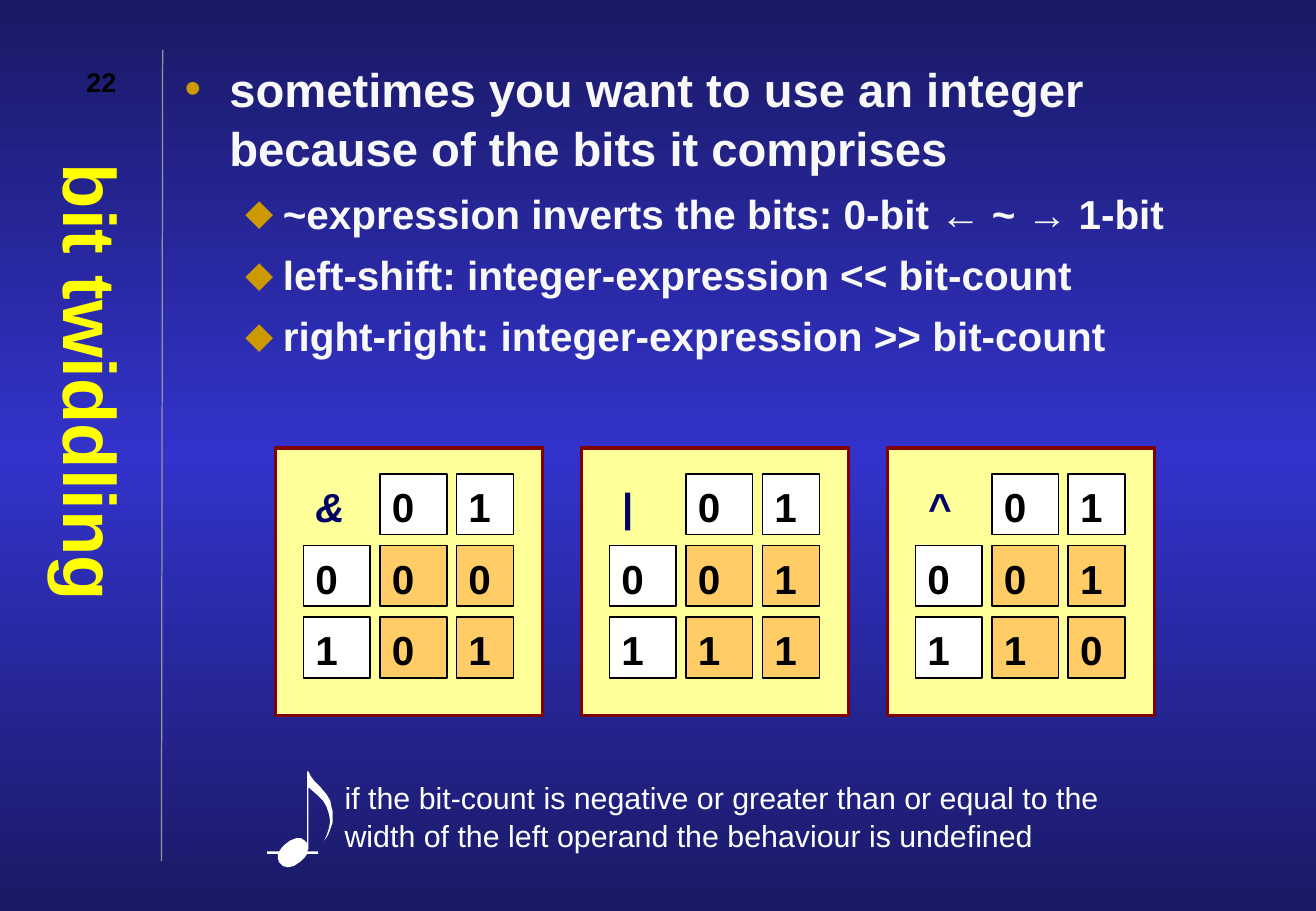
from copy import deepcopy

from lxml.etree import SubElement
from pptx import Presentation
from pptx.dml.color import RGBColor
from pptx.enum.shapes import MSO_CONNECTOR, MSO_SHAPE
from pptx.enum.text import MSO_ANCHOR, MSO_AUTO_SIZE, PP_ALIGN
from pptx.oxml.ns import qn
from pptx.util import Pt

PX = 9144  # 100 px to the inch
HUES = {
    "navy": "191965", "blue": "3333CC", "grey": "969696", "title": "FFFF00",
    "text": "F8F8F8", "bullet": "CC9900", "card": "FFFF99", "edge": "800000",
    "sign": "000066", "result": "FFCC66", "white": "FFFFFF", "black": "000000",
}
RGB = {name: RGBColor.from_string(code) for name, code in HUES.items()}


def put(para, text, size, hue, bold=True, italic=False):
    para.line_spacing = 1.05
    run = para.add_run()
    run.text = text
    font = run.font
    font.name, font.size, font.bold, font.italic = "Arial", Pt(size), bold, italic
    font.color.rgb = RGB[hue]


def place(shape, box, inset=(10, 5), anchor=MSO_ANCHOR.TOP):
    """Set the bounds and text frame of a shape; return the frame."""
    shape.left, shape.top, shape.width, shape.height = [n * PX for n in box]
    frame = shape.text_frame
    frame.word_wrap = True
    frame.auto_size = MSO_AUTO_SIZE.NONE
    frame.vertical_anchor = anchor
    frame.margin_left = frame.margin_right = inset[0] * PX
    frame.margin_top = frame.margin_bottom = inset[1] * PX
    return frame


deck = Presentation()
deck.slide_width, deck.slide_height = 1084 * PX, 750 * PX
slide = deck.slides.add_slide(deck.slide_layouts[1])
shapes = slide.shapes

# Background
fill = slide.background.fill
fill.gradient()
fill.gradient_angle = 90
stops = slide.element.find(".//" + qn("a:gsLst"))
stops.append(deepcopy(stops[-1]))
for stop, hue, spot in zip(fill.gradient_stops, ("navy", "blue", "navy"), (0, 0.5, 1)):
    stop.color.rgb = RGB[hue]
    stop.position = spot

# Side rule
rule = shapes.add_connector(MSO_CONNECTOR.STRAIGHT, 133 * PX, 709 * PX, 134 * PX, 41 * PX)
rule.line.color.rgb = RGB["grey"]
rule.line.width = Pt(0.75)
SubElement(rule.element.spPr, qn("a:effectLst"))

# Vertical title
frame = place(shapes.title, (33, 125, 92, 583), (5, 10), MSO_ANCHOR.MIDDLE)
frame._txBody.bodyPr.set("vert", "eaVert")
frame.paragraphs[0].alignment = PP_ALIGN.CENTER
put(frame.paragraphs[0], "bit twiddling", 44, "title")

# Bullet list: level, text
points = [
    (0, "sometimes you want to use an integer because of the bits it comprises"),
    (1, "~expression inverts the bits: 0-bit ← ~ → 1-bit"),
    (1, "left-shift: integer-expression << bit-count"),
    (1, "right-right: integer-expression >> bit-count"),
]
styles = [(37, 37, "•", 28, 0), (81, 31, "⬥", 24, 6)]
frame = place(slide.placeholders[1], (142, 42, 892, 667))
for i, (level, text) in enumerate(points):
    para = frame.add_paragraph() if i else frame.paragraphs[0]
    left, hang, mark, size, gap = styles[level]
    para.level = level
    para.space_before = Pt(gap)
    props = para._p.get_or_add_pPr()
    props.set("marL", str(left * PX))
    props.set("indent", str(-hang * PX))
    tint = SubElement(props, qn("a:buClr"))
    SubElement(tint, qn("a:srgbClr"), val=HUES["bullet"])
    SubElement(props, qn("a:buFont"), typeface="Arial")
    SubElement(props, qn("a:buChar"), char=mark)
    put(para, text, size, "text")

# Truth tables
tables = [("&01", "000", "101"), ("|01", "001", "111"), ("^01", "001", "110")]
for i, table in enumerate(tables):
    x, y = 227 + 252 * i, 369
    card = shapes.add_shape(MSO_SHAPE.RECTANGLE, x * PX, y * PX, 220 * PX, 220 * PX)
    card.shadow.inherit = False
    card.fill.solid()
    card.fill.fore_color.rgb = RGB["card"]
    card.line.color.rgb = RGB["edge"]
    card.line.width = Pt(2)
    for row, line in enumerate(table):
        for col, text in enumerate(line):
            box = (x + 23 + 63 * col, y + 21 + 59 * row, 47 if col == 2 else 55, 50)
            if row == col == 0:
                sign = place(shapes.add_textbox(0, 0, 0, 0), box)
                put(sign.paragraphs[0], text, 24, "sign", italic=True)
                continue
            cell = shapes.add_shape(MSO_SHAPE.RECTANGLE, 0, 0, 0, 0)
            cell.shadow.inherit = False
            cell.fill.solid()
            cell.fill.fore_color.rgb = RGB["result" if row and col else "white"]
            cell.line.color.rgb = RGB["black"]
            cell.line.width = Pt(1)
            para = place(cell, box).paragraphs[0]
            para.alignment = PP_ALIGN.LEFT
            put(para, text, 24, "black")

# Remark with a music note
frame = place(shapes.add_textbox(0, 0, 0, 0), (274, 635, 701, 70))
put(frame.paragraphs[0], "if the bit-count is negative or greater than or equal to the "
    "width of the left operand the behaviour is undefined", 18, "white", bold=False)

curve = [
    (230, 710), (229, 707), (229, 703), (220, 703), (220, 701), (230, 701),
    (232, 698), (235, 695), (239, 692), (244, 690), (248, 690), (251, 692),
    (253, 694), (253, 635), (254, 635), (256, 639), (259, 643), (264, 648),
    (269, 654), (272, 659), (273, 664), (274, 668), (274, 677), (272, 683),
    (270, 688), (267, 692), (269, 688), (271, 682), (272, 676), (271, 670),
    (269, 664), (266, 659), (262, 655), (254, 648), (254, 699), (253, 701),
    (262, 701), (262, 703), (253, 703), (251, 706), (248, 709), (245, 711),
    (242, 713), (237, 714), (233, 713),
]
pen = shapes.build_freeform(*curve[0], scale=PX)
pen.add_line_segments(curve[1:], close=True)
note = pen.convert_to_shape()
note.shadow.inherit = False
note.fill.solid()
note.fill.fore_color.rgb = RGB["white"]
note.line.fill.background()

# Slide number
frame = place(shapes.add_textbox(0, 0, 0, 0), (42, 42, 83, 50), anchor=MSO_ANCHOR.MIDDLE)
frame.paragraphs[0].alignment = PP_ALIGN.CENTER
put(frame.paragraphs[0], "22", 16, "black")

deck.save("out.pptx")
